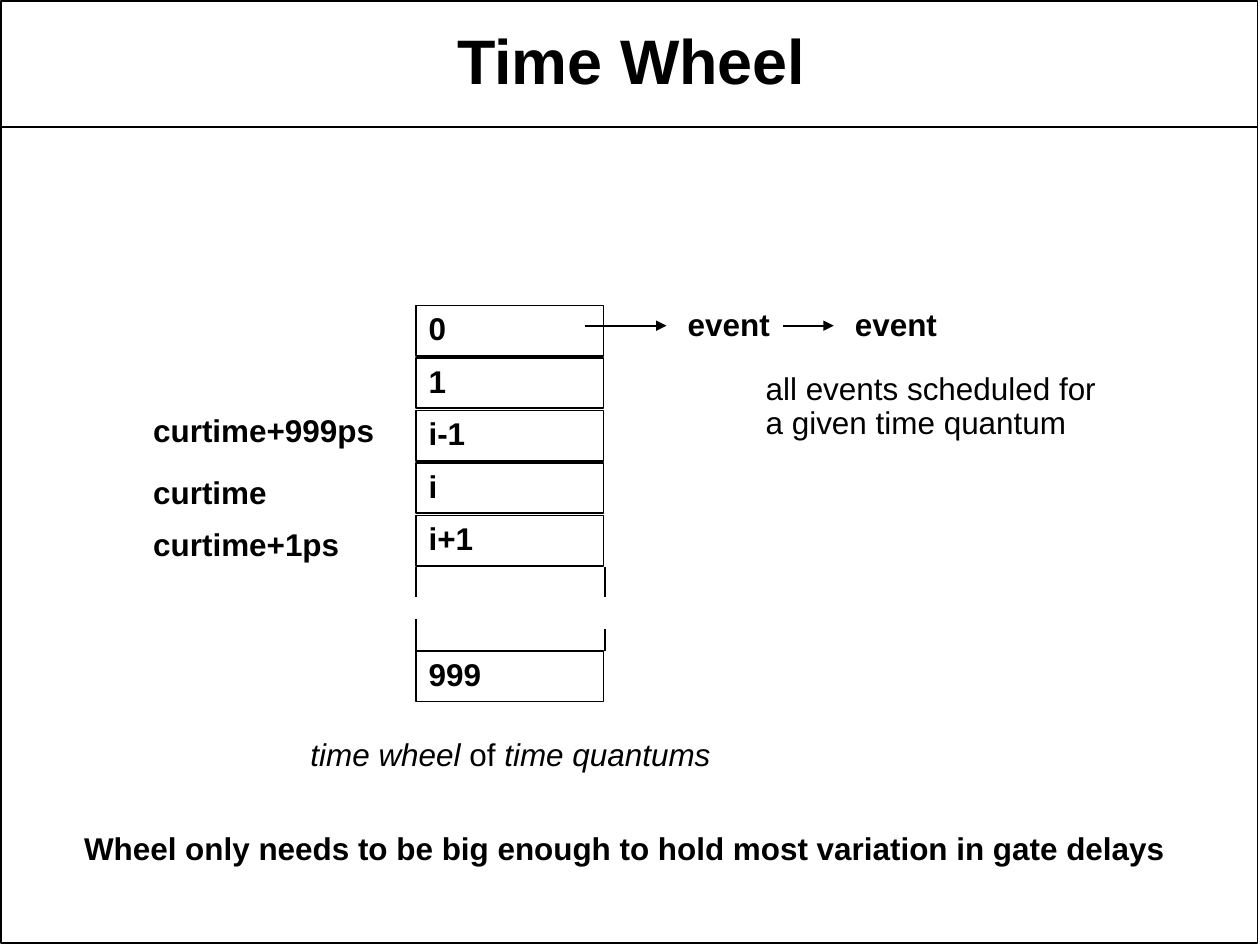
from lxml.etree import SubElement
from pptx import Presentation
from pptx.dml.color import RGBColor
from pptx.enum.shapes import MSO_CONNECTOR, MSO_SHAPE
from pptx.enum.text import MSO_ANCHOR, MSO_AUTO_SIZE, PP_ALIGN
from pptx.oxml.ns import qn
from pptx.util import Inches, Pt

BLACK = RGBColor(0, 0, 0)
FONT = "Arial"
SLIDE_W = 10.02
SLIDE_H = SLIDE_W * 3 / 4
ROW_H, ROW_COUNT, ROWS_SPAN = 0.4, 5, 2.07
ROW_PITCH = (ROWS_SPAN - ROW_H) / (ROW_COUNT - 1)
LABEL_H = 0.37


def write_text(tf, text, size=18, bold=True, align=PP_ALIGN.LEFT, spacing=0.9):
    """Fill a frame with a string, or with a list of (string, italic) runs."""
    p = tf.paragraphs[0]
    p.alignment, p.line_spacing = align, spacing
    for words, italic in [(text, False)] if isinstance(text, str) else text:
        r = p.add_run()
        r.text = words
        r.font.name, r.font.size = FONT, Pt(size)
        r.font.bold, r.font.italic = bold, italic
        r.font.color.rgb = BLACK


def add_label(s, text, x, y, w, h=LABEL_H, wrap=False, inset=(0.1, 0.05), **fmt):
    tf = s.shapes.add_textbox(Inches(x), Inches(y), Inches(w), Inches(h)).text_frame
    tf.word_wrap = wrap
    tf.auto_size = MSO_AUTO_SIZE.SHAPE_TO_FIT_TEXT
    tf.margin_left = tf.margin_right = Inches(inset[0])
    tf.margin_top = tf.margin_bottom = Inches(inset[1])
    write_text(tf, text, **fmt)


def add_box(s, x, y, w, h, text=None):
    sp = s.shapes.add_shape(MSO_SHAPE.RECTANGLE, Inches(x), Inches(y), Inches(w), Inches(h))
    sp.shadow.inherit = False
    sp.fill.background()
    sp.line.color.rgb, sp.line.width = BLACK, Pt(1)
    if text:
        sp.text_frame.vertical_anchor = MSO_ANCHOR.MIDDLE
        write_text(sp.text_frame, text)


def add_line(s, x1, y1, x2, y2, arrow=False):
    line = s.shapes.add_connector(
        MSO_CONNECTOR.STRAIGHT, Inches(x1), Inches(y1), Inches(x2), Inches(y2))
    line.line.color.rgb, line.line.width = BLACK, Pt(1)
    if arrow:
        SubElement(line.line._get_or_add_ln(), qn("a:tailEnd"), type="triangle")
    SubElement(line._element.spPr, qn("a:effectLst"))


def add_header(s, x, y, w, h):
    """Frame the slide and set the title above its rule."""
    add_box(s, x, y, w, h)
    add_line(s, x, y + 1, x + w, y + 1)
    add_label(s, "Time Wheel", x + 3.55, y + 0.18, 2.92, 1.2, wrap=True,
              inset=(0.07, 0.03), size=36, align=PP_ALIGN.CENTER, spacing=0.95)


def add_wheel(s, x, y, w, h):
    """Stack the slots, with broken sides before the last one."""
    for n, slot in enumerate(["0", "1", "i-1", "i", "i+1"]):
        add_box(s, x, y + n * ROW_PITCH, w, ROW_H, slot)
    last_y = y + h - ROW_H
    add_box(s, x, last_y, w, ROW_H, "999")
    gap_y = y + ROWS_SPAN + 0.01
    for side, rise in ((x, 0.26), (x + w + 0.01, 0.18)):
        add_line(s, side, gap_y, side, gap_y + 0.24)
        add_line(s, side, last_y, side, last_y - rise)
    add_label(s, [("time wheel", True), (" of ", False), ("time quantums", True)],
              x - 0.94, y + h + 0.25, 3.38, bold=False)


def add_times(s, x, y):
    for text, dy, w in (("curtime+999ps", 0, 1.96), ("curtime", 0.5, 1.1),
                        ("curtime+1ps", 0.91, 1.68)):
        add_label(s, text, x, y + dy, w)


def add_events(s, x, y):
    """Chain the events from the first slot, with a note below."""
    for start, end in ((0, 0.65), (1.58, 1.98)):
        add_line(s, x + start, y, x + end, y, arrow=True)
        add_label(s, "event", x + end + 0.07, y - 0.18, 0.85)
    add_label(s, "all events scheduled for a given time quantum",
              x + 1.34, y + 0.33, 2.91, 0.64, wrap=True, bold=False)


def main():
    prs = Presentation()
    prs.slide_width, prs.slide_height = Inches(SLIDE_W), Inches(SLIDE_H)
    s = prs.slides.add_slide(prs.slide_layouts[6])
    add_header(s, 0.01, 0.01, 9.99, 7.49)
    add_wheel(s, 3.31, 2.43, 1.49, 3.15)
    add_times(s, 1.12, 3.25)
    add_events(s, 4.65, 2.59)
    add_label(s, "Wheel only needs to be big enough to hold most variation in gate delays",
              0.57, 6.58, 8.8)
    prs.save("out.pptx")


if __name__ == "__main__":
    main()
